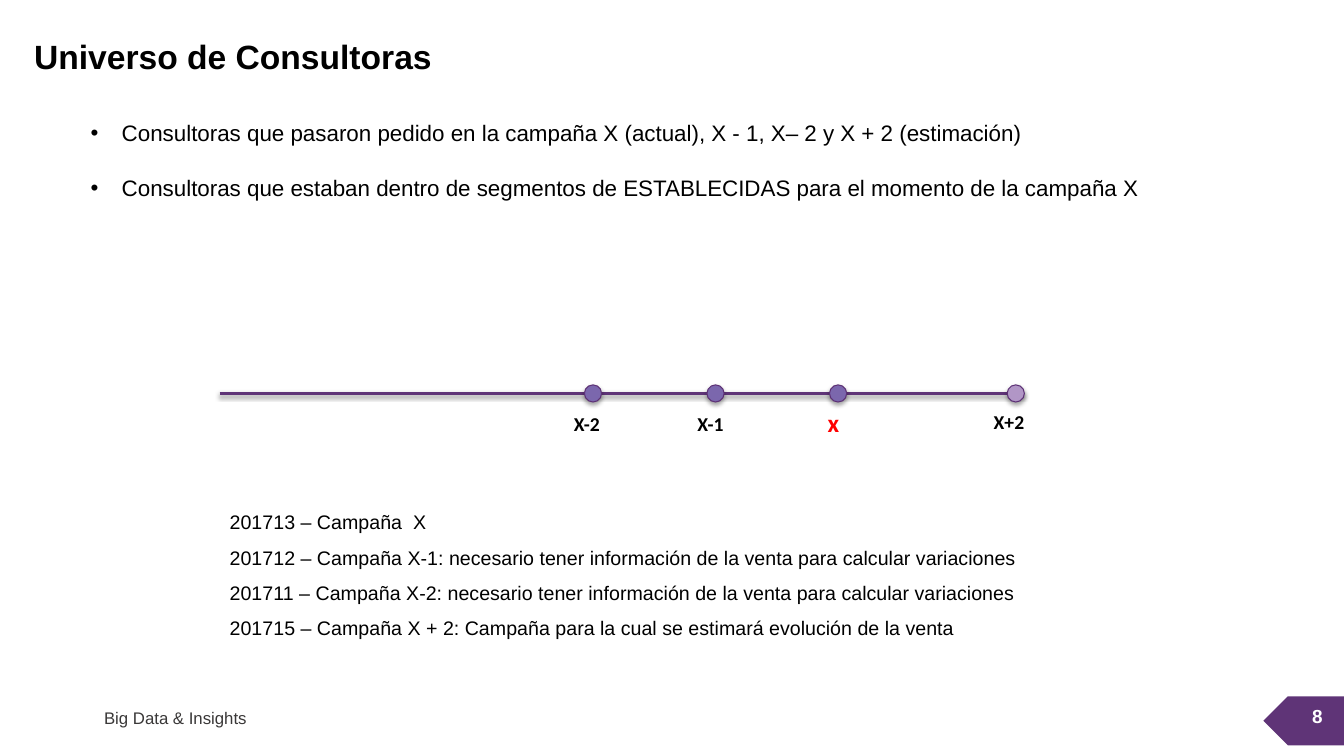
from lxml.etree import SubElement
from pptx import Presentation
from pptx.dml.color import RGBColor
from pptx.enum.shapes import MSO_CONNECTOR as Link, MSO_SHAPE as Form
from pptx.enum.text import MSO_ANCHOR as Anchor, PP_ALIGN as Align
from pptx.oxml.ns import qn
from pptx.util import Inches, Pt

hue = RGBColor.from_string
deck = Presentation()
deck.slide_width, deck.slide_height = Inches(13.33), Inches(7.5)
col, row = deck.slide_width / 100, deck.slide_height / 100
slide = deck.slides.add_slide(deck.slide_layouts[6])
shapes = slide.shapes


def grid(x, y, w, h):
    return int(x * col), int(y * row), int(w * col), int(h * row)


def write(area, lines, size, ink="000000", face="Arial", bold=False,
          align=Align.LEFT, lead=None, gap=0, mark=None, wrap=True):
    frame = shapes.add_textbox(*grid(*area)).text_frame
    frame.word_wrap = wrap
    frame.vertical_anchor = Anchor.TOP
    for i, line in enumerate(lines):
        para = frame.paragraphs[0] if i == 0 else frame.add_paragraph()
        para.text = line
        para.alignment = align
        if lead:
            para.line_spacing = lead
        if i and gap:
            para.space_before = Pt(gap)
        if mark:
            props = para._p.get_or_add_pPr()
            props.set("marL", str(Inches(0.31)))
            props.set("indent", str(-Inches(0.31)))
            SubElement(props, qn("a:buFont"), typeface="Arial")
            SubElement(props, qn("a:buChar"), char=mark)
        font = para.font
        font.name, font.size, font.bold = face, Pt(size), bold
        font.color.rgb = hue(ink)
    return frame


tag = shapes.add_shape(Form.PENTAGON, *grid(94, 92.1, 6, 6.5))
tag.rotation = 180
tag.shadow.inherit = False
tag.fill.solid()
tag.fill.fore_color.rgb = hue("5F3477")
tag.line.fill.background()

write((7, 92.9, 12.2, 4), ["Big Data & Insights"], 12, "3A3838")
write((94.95, 92.5, 4.2, 5.3), ["8"], 13.5, "FFFFFF", bold=True, align=Align.RIGHT)

title = write((1.8, 4, 85.3, 10.4), ["Universo de Consultoras"], 24, bold=True, lead=0.9)
title.margin_top = title.margin_bottom = Inches(0.1)

write((6, 15.1, 88.6, 19.3), [
    "Consultoras que pasaron pedido en la campaña X (actual), X - 1, X– 2 y X + 2 (estimación)",
    "Consultoras que estaban dentro de segmentos de ESTABLECIDAS para el momento de la campaña X",
], 16, align=Align.JUSTIFY, gap=20, mark="•")

write((16.35, 65.3, 78.2, 24.8), [
    "201713 – Campaña  X",
    "201712 – Campaña X-1: necesario tener información de la venta para calcular variaciones",
    "201711 – Campaña X-2: necesario tener información de la venta para calcular variaciones",
    "201715 – Campaña X + 2: Campaña para la cual se estimará evolución de la venta",
], 14, lead=1.5)

level = 52.05
left, top, right, base = grid(16.35, level, 76.15, level)
axis = shapes.add_connector(Link.STRAIGHT, left, top, right, base)
axis.line.color.rgb = hue("5F3477")
axis.line.width = Pt(2)
shaded = [(axis, 38, 1.6)]

first, step = 44.12, 9.12
wide, high = 1.28, 2.27
marks = [
    (first, "7B67AD", "X-2", (41.95, 53.85, 4.6, 5.3), 14, "000000"),
    (first + step, "7B67AD", "X-1", (51.15, 53.85, 4.35, 5.3), 14, "000000"),
    (first + 2 * step, "7B67AD", "x", (60.85, 53.2, 2.5, 5.3), 18, "FF0000"),
    (75.58, "B196C6", "X+2", (73.2, 53.6, 4.95, 5.3), 14, "000000"),
]
for mid, fill, name, area, size, ink in marks:
    dot = shapes.add_shape(Form.OVAL, *grid(mid - wide / 2, level - high / 2, wide, high))
    dot.fill.solid()
    dot.fill.fore_color.rgb = hue(fill)
    dot.line.color.rgb = hue("5D3176")
    dot.line.width = Pt(0.75)
    shaded.append((dot, 35, 1.8))
    write(area, [name], size, ink, "Calibri", True, wrap=False)

for shape, share, drop in shaded:
    effect = SubElement(shape._element.spPr, qn("a:effectLst"))
    shade = SubElement(effect, qn("a:outerShdw"), blurRad=str(Pt(3.1)),
                       dist=str(Pt(drop)), dir="5400000", rotWithShape="0")
    tint = SubElement(shade, qn("a:srgbClr"), val="000000")
    SubElement(tint, qn("a:alpha"), val=str(share * 1000))

deck.save("out.pptx")
